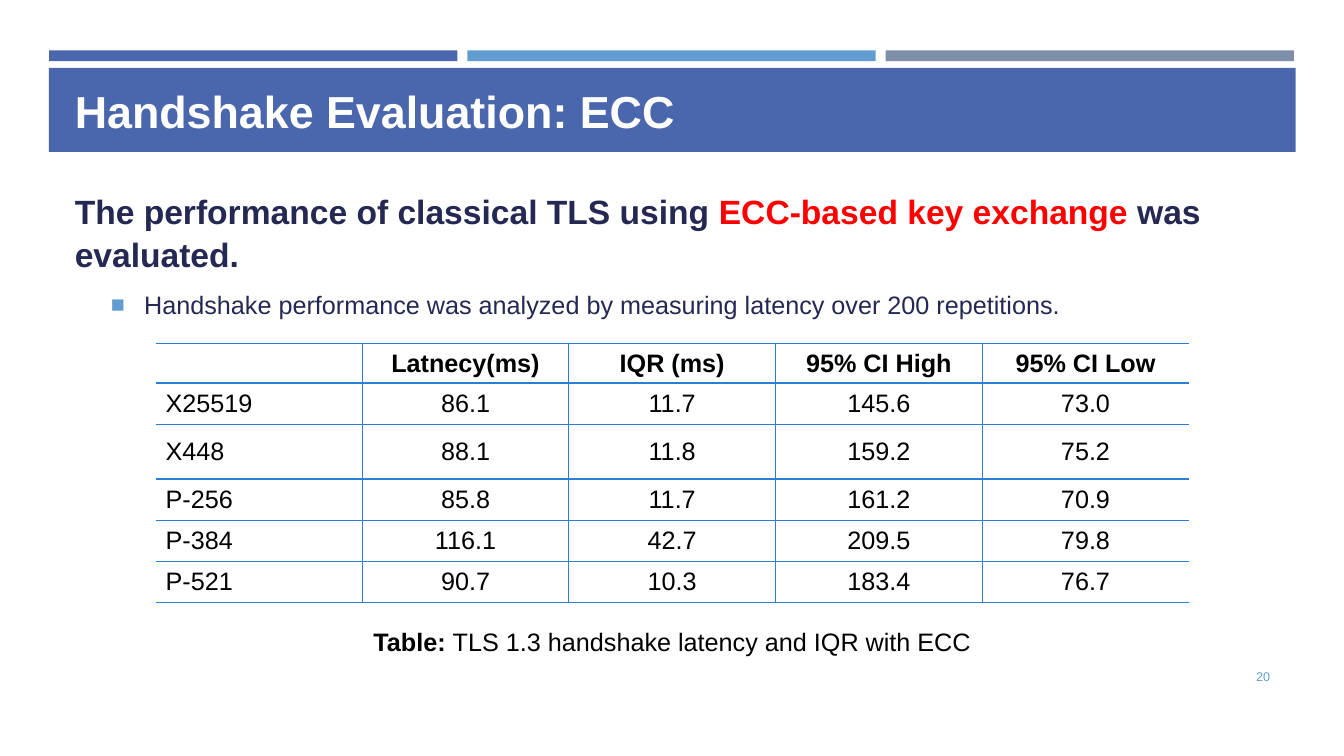
from lxml.etree import SubElement as Sub, Element
from pptx import Presentation
from pptx.dml.color import RGBColor as Rgb
from pptx.enum.shapes import MSO_SHAPE as Geo
from pptx.enum.text import MSO_ANCHOR as Anchor, MSO_AUTO_SIZE as Fit, PP_ALIGN as Align
from pptx.oxml.ns import qn
from pptx.util import Cm, Pt

BLUE, SKY, GREY = "4A66AC", "629DD1", "7F8FA9"
NAVY, RED, BLACK, WHITE = "242852", "FF0000", "000000", "FFFFFF"
RULE = "297FD5"

HEAD = ["", "Latnecy(ms)", "IQR (ms)", "95% CI High", "95% CI Low"]
ROWS = [
    ["X25519", "86.1", "11.7", "145.6", "73.0"],
    ["X448", "88.1", "11.8", "159.2", "75.2"],
    ["P-256", "85.8", "11.7", "161.2", "70.9"],
    ["P-384", "116.1", "42.7", "209.5", "79.8"],
    ["P-521", "90.7", "10.3", "183.4", "76.7"],
]
HIGH = [0.99, 1.04, 1.38, 1.04, 1.04, 1.04]


def paint(item, tone):
    """Colour a fill or a font."""
    if hasattr(item, "solid"):
        item.solid()
        item.fore_color.rgb = Rgb.from_string(tone)
    else:
        item.color.rgb = Rgb.from_string(tone)


def style(par, size, tone, bold=False, align=Align.LEFT):
    par.alignment = align
    font = par.font
    font.name, font.size, font.bold = "Arial", Pt(size), bold
    paint(font, tone)


def place(shape, left, top, width, height):
    shape.left, shape.top = Cm(left), Cm(top)
    shape.width, shape.height = Cm(width), Cm(height)


def add_bar(slide, tone, left, top, width, height):
    bar = slide.shapes.add_shape(Geo.RECTANGLE, Cm(left), Cm(top), Cm(width), Cm(height))
    bar.shadow.inherit = False
    paint(bar.fill, tone)
    bar.line.fill.background()


def add_label(slide, left, top, width, height, anchor=Anchor.TOP):
    frame = slide.shapes.add_textbox(Cm(left), Cm(top), Cm(width), Cm(height)).text_frame
    frame.word_wrap = True
    frame.vertical_anchor = anchor
    return frame.paragraphs[0]


def add_run(par, text, tone=None, bold=None):
    run = par.add_run()
    run.text = text
    if tone:
        paint(run.font, tone)
    if bold is not None:
        run.font.bold = bold


def set_bullet(par, left, hang, mark=None):
    props = par._p.get_or_add_pPr()
    props.set("marL", str(Cm(left)))
    props.set("indent", str(-Cm(hang)))
    if not mark:
        Sub(props, qn("a:buNone"))
        return
    Sub(Sub(props, qn("a:buClr")), qn("a:srgbClr"), val=SKY)
    Sub(props, qn("a:buSzPct"), val="92000")
    Sub(props, qn("a:buFont"), typeface="Arial")
    Sub(props, qn("a:buChar"), char=mark)


def set_edges(cell, widths):
    """Draw left, right, top and bottom rules; zero means no rule."""
    props = cell._tc.get_or_add_tcPr()
    for spot, (side, width) in enumerate(zip("LRTB", widths)):
        line = Element(qn("a:ln" + side), w=str(Pt(width)))
        if width:
            Sub(Sub(line, qn("a:solidFill")), qn("a:srgbClr"), val=RULE)
        else:
            Sub(line, qn("a:noFill"))
        props.insert(spot, line)


def add_grid(slide, left, top, width):
    data = [HEAD] + ROWS
    last = len(HEAD) - 1
    grid = slide.shapes.add_table(
        len(data), len(HEAD), Cm(left), Cm(top), Cm(width), Cm(sum(HIGH))).table
    grid.horz_banding = False
    for r, texts in enumerate(data):
        grid.rows[r].height = Cm(HIGH[r])
        for c, text in enumerate(texts):
            cell = grid.cell(r, c)
            cell.text = text
            cell.vertical_anchor = Anchor.MIDDLE
            cell.fill.background()
            style(cell.text_frame.paragraphs[0], 18, BLACK, r == 0,
                  Align.CENTER if c else Align.LEFT)
            set_edges(cell, [int(c > 0), int(c < last),
                             2 if r == 1 else 1, 2 if r == 0 else 1])


def fill_title(title):
    place(title, 1.63, 1.96, 30.63, 1.63)
    frame = title.text_frame
    frame.text = "Handshake Evaluation: ECC"
    frame.auto_size = Fit.NONE
    frame.vertical_anchor = Anchor.MIDDLE
    style(frame.paragraphs[0], 32, WHITE, True)


def fill_body(body):
    place(body, 1.63, 4.17, 30.63, 4.47)
    frame = body.text_frame
    frame.auto_size = Fit.NONE
    frame.vertical_anchor = Anchor.MIDDLE
    claim, note = frame.paragraphs[0], frame.add_paragraph()
    note.level = 1
    set_bullet(claim, 0, 0)
    set_bullet(note, 1.75, 0.84, "■")
    for par, before in (claim, 0), (note, 3.6):
        par.space_before, par.space_after = Pt(before), Pt(6)
        par.line_spacing = 1.06
    style(claim, 24, NAVY, True)
    add_run(claim, "The performance of classical TLS using ")
    add_run(claim, "ECC-based key exchange ", RED)
    add_run(claim, "was evaluated.")
    style(note, 18, NAVY)
    add_run(note, "Handshake performance was analyzed by measuring latency over 200 repetitions.")


def main():
    prs = Presentation()
    prs.slide_width, prs.slide_height = Cm(33.87), Cm(19.05)
    slide = prs.slides.add_slide(prs.slide_layouts[1])
    title, body = slide.placeholders

    # Top stripes and title band
    for i, tone in enumerate([BLUE, SKY, GREY]):
        add_bar(slide, tone, 1.24 + i * 10.54, 1.27, 10.29, 0.27)
    add_bar(slide, BLUE, 1.23, 1.71, 31.42, 2.12)

    # Title and list, in front of the band
    for holder in body, title:
        slide.shapes.element.append(holder.element)
    fill_title(title)
    fill_body(body)

    # Table and caption
    add_grid(slide, 3.92, 8.66, 26.04)
    caption = add_label(slide, 3.92, 15.65, 26.04, 1.02)
    style(caption, 18, BLACK, align=Align.CENTER)
    add_run(caption, "Table: ", bold=True)
    add_run(caption, "TLS 1.3 handshake latency and IQR with ECC")

    # Page number
    page = add_label(slide, 29.34, 16.54, 2.92, 1.02, Anchor.MIDDLE)
    style(page, 9, SKY, align=Align.RIGHT)
    add_run(page, "20")

    prs.save("out.pptx")


if __name__ == "__main__":
    main()
